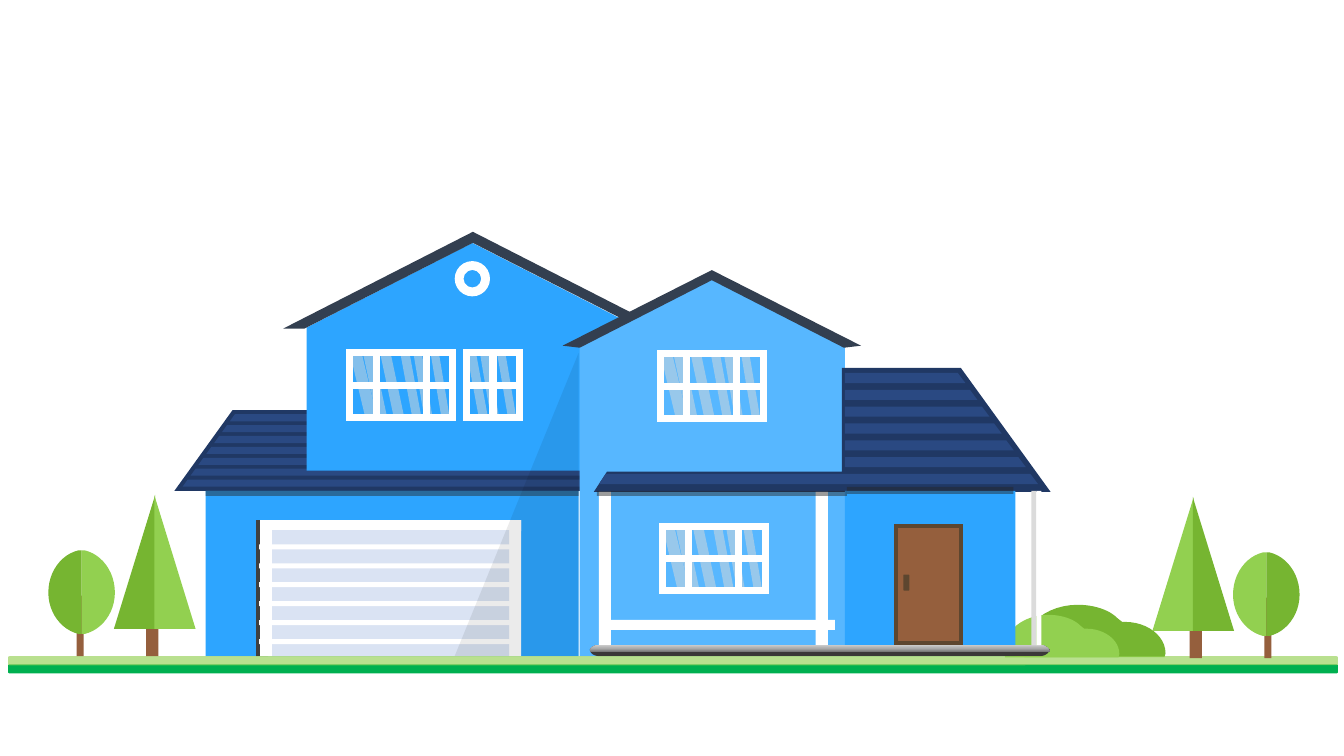
import copy

import pptx
import pptx.dml.color
import pptx.enum.shapes
import pptx.oxml
import pptx.oxml.ns
import pptx.util

Inches = pptx.util.Inches
PRESET = pptx.enum.shapes.MSO_SHAPE
COLOURS = {
    "wall": "2DA5FF", "front wall": "57B7FF", "rafter": "333F50",
    "roof": "203864", "tile": "2A4982", "white": "FFFFFF", "glass": "D9D9D9",
    "garage door": "DAE3F3", "jamb": "404040", "wood": "955F3D",
    "dark wood": "5D462F", "porch base": "3B3838", "shade": "262626",
    "black": "000000", "pipe": "DBDBDB", "grass": "00B050",
    "leaf": "92D050", "dark leaf": "76B531",
}


def rgb(name):
    """Return the colour of that name."""
    return pptx.dml.color.RGBColor.from_string(COLOURS[name])


def paint(part, colour, alpha=100):
    """Give a part a flat fill without line or shadow."""
    part.shadow.inherit = False
    part.line.fill.background()
    if colour is None:
        part.fill.background()
        return
    part.fill.solid()
    part.fill.fore_color.rgb = rgb(colour)
    if alpha < 100:
        tint = part.element.spPr.find(".//" + pptx.oxml.ns.qn("a:srgbClr"))
        tint.append(pptx.oxml.parse_xml(
            f'<a:alpha {pptx.oxml.ns.nsdecls("a")} val="{alpha * 1000}"/>'))


def block(slide, x, y, w, h, colour, preset=PRESET.RECTANGLE, adj=None,
          alpha=100, flip=False, turn=0):
    """Draw a preset shape and return it."""
    part = slide.shapes.add_shape(preset, *map(Inches, (x, y, w, h)))
    paint(part, colour, alpha)
    if adj is not None:
        part.adjustments[0] = adj
    if flip:
        part.element.spPr.xfrm.set("flipH", "1")
    part.rotation = turn
    return part


def edge(part, colour, width):
    """Give a part a line with sharp corners."""
    part.line.color.rgb = rgb(colour)
    part.line.width = pptx.util.Pt(width)
    part.line._get_or_add_ln().append(pptx.oxml.parse_xml(
        f'<a:miter {pptx.oxml.ns.nsdecls("a")} lim="800000"/>'))


def flatten(steps, count=12):
    """Turn points and cubic curve steps into points."""
    points = [steps[0]]
    for step in steps[1:]:
        if len(step) == 2:
            points.append(step)
            continue
        knots = (points[-1], step[:2], step[2:4], step[4:])
        for i in range(1, count + 1):
            t = i / count
            weights = ((1 - t) ** 3, 3 * t * (1 - t) ** 2, 3 * t * t * (1 - t), t ** 3)
            points.append(tuple(sum(w * k[axis] for w, k in zip(weights, knots))
                                for axis in (0, 1)))
    return points


def outline(slide, x, y, contours, colour, scale=1):
    """Draw closed contours, measured from x and y, as one shape."""
    builder = None
    for contour in contours:
        points = [(Inches(x + px * scale), Inches(y + py * scale))
                  for px, py in flatten(contour)]
        if builder is None:
            builder = slide.shapes.build_freeform(*points[0])
        else:
            builder.move_to(*points[0])
        builder.add_line_segments(points[1:], close=True)
    part = builder.convert_to_shape()
    paint(part, colour)
    return part


def bush(slide, x, y, scale, colour):
    """Draw a two-humped bush."""
    outline(slide, x, y, [[
        (0.54, 0), (0.24, 0, 0, 0.19, 0, 0.42), (0, 0.45, 0, 0.48, 0.01, 0.51),
        (0.01, 0.52), (1.4, 0.52), (1.41, 0.48), (1.41, 0.31, 1.23, 0.17, 1.01, 0.17),
        (0.98, 0.17), (0.93, 0.13), (0.85, 0.05, 0.7, 0, 0.54, 0)]], colour, scale)


def gable(slide, x, y, w, h, rise, colour):
    """Draw a wall that ends in a gable of the given rise."""
    block(slide, x + (w - h) / 2, y + (h - w) / 2, h, w, colour,
          PRESET.PENTAGON, rise / min(w, h), turn=270)


def rafters(slide, x, y, tip, inner, thickness):
    """Draw both roof edges down from the peak at x and y."""
    for side in (-1, 1):
        outline(slide, x, y, [[(0, 0), (side * tip[0], tip[1]),
                               (side * inner[0], inner[1]), (0, thickness)]], "rafter")


def window(slide, x, y, wide=True):
    """Draw a window of two or three columns with glints on the glass."""
    glints = [(0, (0.21, 0.19, 0.19))]
    columns = [(0, 0.26), (0.26, 0.26)]
    if wide:
        glints = [(0, (0.27, 0.24, 0.24)), (0.5, (0.21, 0.19, 0.19))]
        columns = [(0, 0.26), (0.26, 0.5), (0.76, 0.26)]
    for start, widths in glints:
        for offset, width in zip((0, 0.13, 0.3), widths):
            block(slide, x + start + offset, y, width, 0.64, "glass",
                  PRESET.PARALLELOGRAM, 0.566, 50, flip=True)
    for row in range(2):
        for offset, width in columns:
            edge(block(slide, x + offset, y + row * 0.32, width, 0.32, None), "white", 5)


def garage_roof(slide, x, y):
    """Draw the tiled roof above the garage."""
    block(slide, x, y, 4.57, 0.8, "roof", PRESET.TRAPEZOID, 0.72)
    rows = []
    for i in range(7):
        top, spread = 0.04 + 0.108 * i, 0.078 * i
        rows.append([(3.97 + spread, top), (0.6 - spread, top),
                     (0.55 - spread, top + 0.07), (4.02 + spread, top + 0.07)])
    outline(slide, x, y, rows, "tile")


def garage(slide, x, y):
    """Draw the garage wall and its door."""
    block(slide, x, y, 3.7, 1.64, "wall")
    block(slide, x + 0.5, y + 0.29, 0.12, 1.35, "jamb")
    block(slide, x + 0.54, y + 0.29, 2.59, 0.11, "white")
    for offset in (0.54, 3.01):
        block(slide, x + offset, y + 0.29, 0.12, 1.35, "white")
    block(slide, x + 0.66, y + 0.39, 2.35, 1.25, "garage door")
    for i in range(6):
        block(slide, x + 0.53, y + 0.53 + 0.188 * i, 2.59, 0.05, "white")


def porch_roof(slide, x, y):
    """Draw the tiled roof over the porch and the entrance."""
    outline(slide, x, y, [[(3.64, 0), (2.46, 0), (2.46, 1.03), (0.13, 1.03),
                           (0, 1.23), (4.53, 1.23)]], "roof")
    rows = []
    for i in range(7):
        top, right = 0.05 + 0.167 * i, 3.61 + 0.12 * i
        left, left_foot = (0.12, 0.05) if i == 6 else (2.49, 2.49)
        rows.append([(right, top), (left, top), (left_foot, top + 0.1),
                     (right + 0.075, top + 0.1)])
    outline(slide, x, y, rows, "tile")


def porch(slide, x, y):
    """Draw the porch posts, rail, entrance wall, floor and door."""
    for offset in (2.24, 0.09):
        block(slide, x + offset, y, 0.12, 1.55, "white")
    block(slide, x + 0.19, y + 1.27, 2.24, 0.1, "white")
    block(slide, x + 2.53, y - 0.01, 1.69, 1.64, "wall")
    outline(slide, x, y + 1.56, [[(4.56, 0), (0, 0), (0, 0.04, 0.04, 0.07, 0.1, 0.07),
                                  (4.46, 0.07), (4.51, 0.07, 4.56, 0.04, 4.56, 0)]],
            "porch base")
    floor = outline(slide, x, y + 1.52, [[
        (4.56, 0.07), (0, 0.07), (0, 0.03, 0.04, 0, 0.1, 0), (4.46, 0),
        (4.51, 0, 4.56, 0.03, 4.56, 0.07)]], "porch base")
    floor.fill.gradient()
    floor.fill.gradient_angle = 90
    first = floor.element.spPr.find(".//" + pptx.oxml.ns.qn("a:gs"))
    first.addnext(copy.deepcopy(first))
    for stop, (position, tone) in zip(
            floor.fill.gradient_stops, ((0, "6F6F6F"), (0.48, "A8A8A8"), (1, "C9C9C9"))):
        stop.position = position
        stop.color.rgb = pptx.dml.color.RGBColor.from_string(tone)
    edge(block(slide, x + 3.04, y + 0.34, 0.64, 1.16, "wood"), "dark wood", 3)
    block(slide, x + 3.11, y + 0.82, 0.06, 0.16, "dark wood", PRESET.ROUNDED_RECTANGLE)


def shading(slide, x, y):
    """Draw the shadows under the eaves and beside the front wall."""
    block(slide, x + 2.47, y - 1.37, 1.23, 3.01, "black", PRESET.RIGHT_TRIANGLE,
          alpha=8, flip=True)
    for dx, dy, w, h in ((0, 0, 3.7, 0.05), (3.88, 0, 2.48, 0.05), (6.36, -0.04, 1.65, 0.07)):
        block(slide, x + dx, y + dy, w, h, "shade", alpha=46)
    for dx, colour in ((8.19, "pipe"), (8.24, "white")):
        block(slide, x + dx, y, 0.05, 1.53, colour)


def round_tree(slide, x, y, trunk, colours):
    """Draw a round tree around the axis x, with left and right leaf colours."""
    block(slide, x + trunk, y + 0.45, 0.07, 0.6, "wood")
    for side, colour in zip((-1, 1), colours):
        outline(slide, x, y, [[
            (0, 0), (0, 0.83), (side * 0.03, 0.83),
            (side * 0.2, 0.79, side * 0.33, 0.62, side * 0.33, 0.42),
            (side * 0.33, 0.21, side * 0.2, 0.04, side * 0.03, 0)]], colour)


def fir(slide, x, y, trunk, colours):
    """Draw a pointed tree with left and right leaf colours."""
    block(slide, x + trunk, y + 1.04, 0.12, 0.56, "wood")
    for i, colour in enumerate(colours):
        block(slide, x + 0.4 * i, y, 0.41, 1.33, colour, PRESET.RIGHT_TRIANGLE, flip=i == 0)


def house(slide, x, y):
    """Draw the house with its left eave and highest peak at x and y."""
    garage_roof(slide, x, y + 1.77)
    gable(slide, x + 1.31, y + 0.11, 3.29, 2.26, 0.84, "wall")
    rafters(slide, x + 2.96, y, (1.88, 0.96), (1.67, 0.96), 0.11)
    block(slide, x + 2.78, y + 0.29, 0.35, 0.35, "white", PRESET.DONUT)
    window(slide, x + 2.9, y + 1.2, wide=False)
    window(slide, x + 1.74, y + 1.2)
    gable(slide, x + 4.02, y + 0.47, 2.63, 3.74, 0.67, "front wall")
    garage(slide, x + 0.31, y + 2.57)
    rafters(slide, x + 5.33, y + 0.38, (1.48, 0.75), (1.31, 0.77), 0.1)
    window(slide, x + 4.82, y + 1.21)
    porch_roof(slide, x + 4.16, y + 1.35)
    window(slide, x + 4.84, y + 2.92)
    porch(slide, x + 4.12, y + 2.58)
    shading(slide, x + 0.31, y + 2.57)


def main():
    """Build and save the slide."""
    deck = pptx.Presentation()
    deck.slide_width, deck.slide_height = Inches(13.33), Inches(7.5)
    slide = deck.slides.add_slide(deck.slide_layouts[6])
    bush(slide, 10.15, 6, 1, "dark leaf")
    bush(slide, 9.96, 6.1, 0.81, "leaf")
    block(slide, 0.08, 6.59, 13.19, 0.09, "grass", PRESET.ROUNDED_RECTANGLE)
    house(slide, 1.73, 2.3)
    block(slide, 0.08, 6.51, 13.19, 0.09, "leaf", PRESET.ROUNDED_RECTANGLE, alpha=64)
    dark_first, light_first = ("dark leaf", "leaf"), ("leaf", "dark leaf")
    round_tree(slide, 0.81, 5.46, -0.05, dark_first)
    fir(slide, 1.13, 4.91, 0.32, dark_first)
    round_tree(slide, 12.56, 5.48, -0.02, light_first)
    fir(slide, 11.43, 4.93, 0.37, light_first)
    deck.save("out.pptx")


if __name__ == "__main__":
    main()
